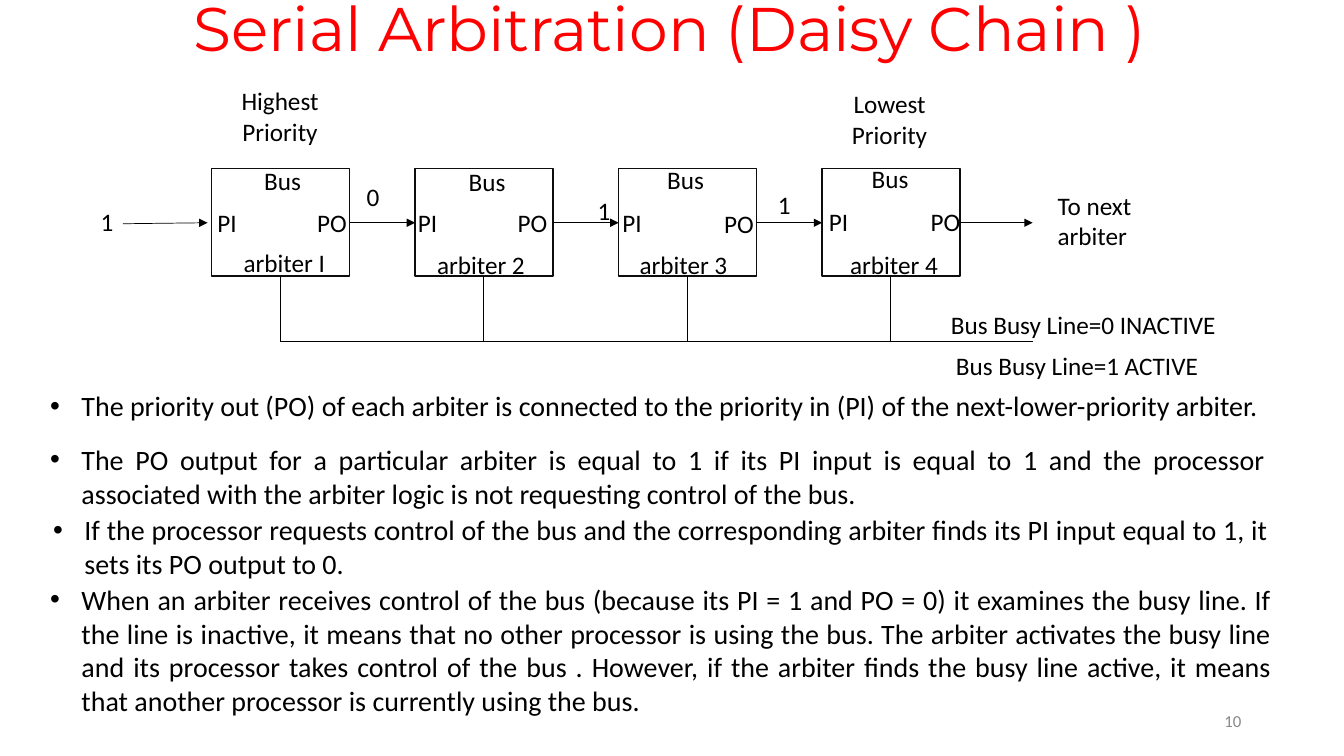
from pptx import Presentation
from pptx.dml.color import RGBColor
from pptx.enum.shapes import MSO_CONNECTOR, MSO_SHAPE
from pptx.enum.text import MSO_ANCHOR, PP_ALIGN
from pptx.oxml.ns import qn
from pptx.util import Emu, Pt
from lxml import etree

PX = 9144
LEFT, CENTER = PP_ALIGN.LEFT, PP_ALIGN.CENTER
RIGHT, JUSTIFY = PP_ALIGN.RIGHT, PP_ALIGN.JUSTIFY
TOP, MIDDLE = MSO_ANCHOR.TOP, MSO_ANCHOR.MIDDLE
RECTANGLE, STRAIGHT = MSO_SHAPE.RECTANGLE, MSO_CONNECTOR.STRAIGHT

BLACK, RED, GRAY, BORDER = "000000", "FF0000", "898989", "0D0D0D"
BOX_LEFT, BOX_TOP, BOX_WIDTH, BOX_HEIGHT, BOX_STEP = 210, 167, 137, 107, 202
SIGNAL_Y, BUSY_Y, LINE_END = 221, 339, 1025
INDENT = 31

ARBITERS = [
    ("arbiter I", (235, 159), (206, 201), (305, 201), (232, 240)),
    ("arbiter 2", (438, 160), (405, 201), (504, 201), (424, 242)),
    ("arbiter 3", (635, 158), (608, 201), (709, 202), (625, 242)),
    ("arbiter 4", (838, 157), (813, 200), (914, 200), (834, 242)),
]
LABELS = [
    ("Highest Priority", (210, 80, 136, 70), CENTER, TOP),
    ("Lowest Priority", (815, 83, 136, 70), CENTER, TOP),
    ("1", (90, 200, 36, 40), LEFT, TOP),
    ("0", (354, 175, 29, 40), LEFT, TOP),
    ("1", (579, 190, 41, 37), CENTER, MIDDLE),
    ("1", (758, 184, 41, 37), CENTER, MIDDLE),
    ("To next arbiter", (1040, 184, 136, 70), LEFT, TOP),
    ("Bus Busy Line=0 INACTIVE", (934, 302, 379, 70), LEFT, TOP),
    ("Bus Busy Line=1 ACTIVE", (939, 343, 283, 40), LEFT, TOP),
]
BULLETS = [
    ("The priority out (PO) of each arbiter is connected to the priority in (PI) "
     "of the next-lower-priority arbiter.", (40, 381, 1232, 44)),
    ("The PO output for a particular arbiter is equal to 1 if its PI input is equal "
     "to 1 and the processor associated with the arbiter logic is not requesting "
     "control of the bus.", (40, 434, 1226, 77)),
    ("If the processor requests control of the bus and the corresponding arbiter "
     "finds its PI input equal to 1, it sets its PO output to 0.", (43, 504, 1226, 77)),
    ("When an arbiter receives control of the bus (because its PI = 1 and PO = 0) it "
     "examines the busy line. If the line is inactive, it means that no other "
     "processor is using the bus. The arbiter activates the busy line and its "
     "processor takes control of the bus . However, if the arbiter finds the busy "
     "line active, it means that another processor is currently using the bus.",
     (40, 573, 1232, 144)),
]


def px(*lengths):
    """Turn whole px lengths into EMU."""
    return [Emu(length * PX) for length in lengths]


def color(value):
    """Turn a hex string into a colour."""
    return RGBColor.from_string(value)


def add_bullet(para):
    """Give a paragraph a hanging black bullet."""
    props = para._p.get_or_add_pPr()
    props.set("marL", str(INDENT * PX))
    props.set("indent", str(-INDENT * PX))
    tint = etree.SubElement(props, qn("a:buClr"))
    etree.SubElement(tint, qn("a:srgbClr"), val=BLACK)
    etree.SubElement(props, qn("a:buFont"), typeface="Arial")
    etree.SubElement(props, qn("a:buChar"), char="•")


def add_text(page, text, area, *, size=18, font="Calibri", ink=BLACK, align=LEFT,
             anchor=TOP, spacing=None, bullet=False):
    """Add a wrapped text box holding one formatted paragraph."""
    frame = page.shapes.add_textbox(*px(*area)).text_frame
    frame.word_wrap = True
    frame.vertical_anchor = anchor
    para = frame.paragraphs[0]
    para.alignment = align
    if spacing:
        para.line_spacing = spacing
    if bullet:
        add_bullet(para)
    span = para.add_run()
    span.text = text
    span.font.size = Pt(size)
    span.font.name = font
    span.font.color.rgb = color(ink)


def add_line(page, start, end, arrow=False):
    """Add a thin black line, with an arrowhead at its end on request."""
    line = page.shapes.add_connector(STRAIGHT, *px(*start, *end))
    line.line.color.rgb = color(BLACK)
    line.line.width = Pt(0.5)
    if arrow:
        etree.SubElement(line.line._get_or_add_ln(), qn("a:tailEnd"), type="triangle")
    etree.SubElement(line._element.spPr, qn("a:effectLst"))


def add_box(page, area):
    """Add an unfilled arbiter box."""
    box = page.shapes.add_shape(RECTANGLE, *px(*area))
    box.shadow.inherit = False
    box.fill.background()
    box.line.color.rgb = color(BORDER)
    box.line.width = Pt(1)


def add_arbiter(page, index, arbiter):
    """Add an arbiter with its labels, busy line drop and outgoing arrow."""
    name, bus, priority_in, priority_out, name_place = arbiter
    left = BOX_LEFT + index * BOX_STEP
    right, middle = left + BOX_WIDTH, left + BOX_WIDTH // 2
    target = left + BOX_STEP if index < len(ARBITERS) - 1 else LINE_END
    add_box(page, (left, BOX_TOP, BOX_WIDTH, BOX_HEIGHT))
    add_line(page, (middle, BOX_TOP + BOX_HEIGHT), (middle, BUSY_Y))
    add_line(page, (right, SIGNAL_Y), (target, SIGNAL_Y), arrow=True)
    add_text(page, "Bus", (*bus, 91, 40), align=CENTER)
    add_text(page, "PI", (*priority_in, 50, 40))
    add_text(page, "PO", (*priority_out, 50, 40))
    add_text(page, name, (*name_place, 123, 40))


def main():
    """Build and save the slide."""
    deck = Presentation()
    deck.slide_width, deck.slide_height = px(1334, 750)
    page = deck.slides.add_slide(deck.slide_layouts[6])
    add_text(page, "Serial Arbitration (Daisy Chain )", (90, -41, 1150, 145), size=44,
             font="Montserrat", ink=RED, align=CENTER, anchor=MIDDLE, spacing=0.9)
    for index, arbiter in enumerate(ARBITERS):
        add_arbiter(page, index, arbiter)
    add_line(page, (BOX_LEFT + BOX_WIDTH // 2, BUSY_Y), (LINE_END, BUSY_Y))
    add_line(page, (122, SIGNAL_Y + 1), (206, SIGNAL_Y), arrow=True)
    for text, area, align, anchor in LABELS:
        add_text(page, text, area, align=align, anchor=anchor)
    for text, area in BULLETS:
        add_text(page, text, area, size=20, align=JUSTIFY, bullet=True)
    add_text(page, "10", (942, 695, 300, 40), size=12, ink=GRAY, align=RIGHT, anchor=MIDDLE)
    deck.save("out.pptx")


if __name__ == "__main__":
    main()
